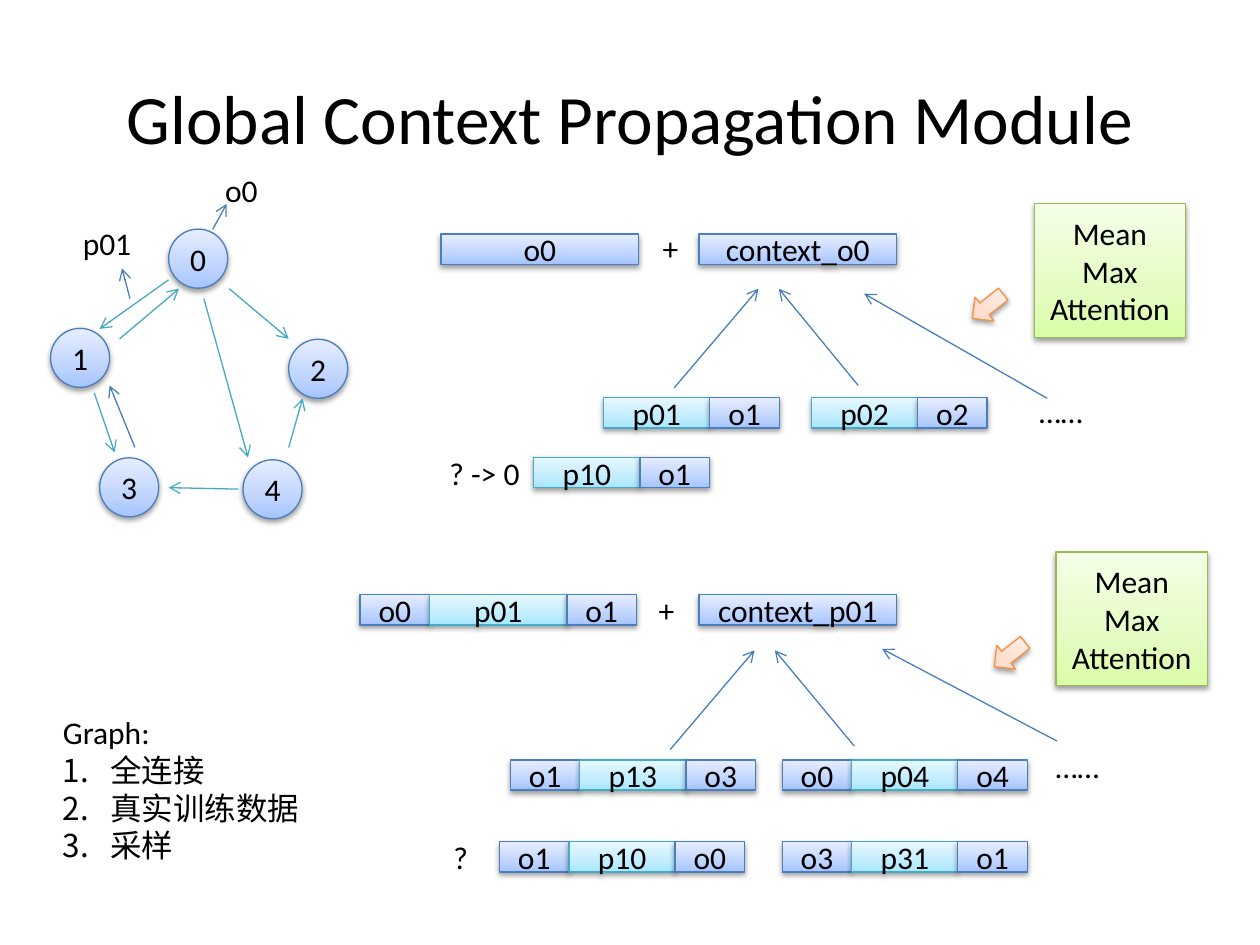
from dataclasses import dataclass

from lxml.etree import SubElement
from pptx import Presentation
from pptx.dml.color import RGBColor as Color
from pptx.enum.shapes import MSO_CONNECTOR as Connector, MSO_SHAPE as Shape
from pptx.enum.text import MSO_ANCHOR as Anchor, MSO_AUTO_SIZE as AutoSize, PP_ALIGN as Align
from pptx.oxml import parse_xml
from pptx.oxml.ns import nsdecls, qn
from pptx.util import Cm, Pt


@dataclass(frozen=True)
class Theme:
    # Each palette: outline, then gradient colours at 0, 35 and 100 percent
    blue: tuple = ("4B7EBC", "A4C4FF", "BFD4FF", "E6EEFF")
    cyan: tuple = ("46AAC5", "A7E6FF", "C1EDFF", "E7F8FF")
    green: tuple = ("98B955", "DAFDA7", "E4FCC2", "F5FFE7")
    orange: tuple = ("F69240", "FFD2BD", "FFDED0", "FFF2ED")
    ink: str = "000000"
    font: str = "Calibri"
    title_size: float = 39.6
    body_size: float = 18
    line_width: float = 0.75


theme = Theme()
SHADOW = (
    f'<a:effectLst {nsdecls("a")}><a:outerShdw blurRad="40000" dist="20000" dir="5400000" '
    'rotWithShape="0"><a:srgbClr val="000000"><a:alpha val="38000"/></a:srgbClr>'
    "</a:outerShdw></a:effectLst>"
)


def write_text(box, lines, align=Align.LEFT, size=theme.body_size, **frame_format):
    frame = box.text_frame
    for name, value in {"word_wrap": True, **frame_format}.items():
        setattr(frame, name, value)
    for index, line in enumerate(lines):
        para = frame.add_paragraph() if index else frame.paragraphs[0]
        para.alignment = align
        span = para.add_run()
        span.text = line
        for name, value in {"name": theme.font, "size": Pt(size)}.items():
            setattr(span.font, name, value)
        span.font.color.rgb = Color.from_string(theme.ink)


def add_block(kind, palette, left, top, width, height, lines=()):
    """Add a shaded preset shape with centred text."""
    block = page.shapes.add_shape(kind, Cm(left), Cm(top), Cm(width), Cm(height))
    outline, *shades = palette
    block.fill.gradient()
    block.fill.gradient_angle = 90
    stops = block.fill._xPr.find(f".//{qn('a:gsLst')}")
    for stop in list(stops):
        stops.remove(stop)
    for position, shade in zip((0, 35, 100), shades):
        stop = SubElement(stops, qn("a:gs"), pos=str(position * 1000))
        SubElement(stop, qn("a:srgbClr"), val=shade)
    block.line.color.rgb = Color.from_string(outline)
    block.line.width = Pt(theme.line_width)
    block._element.spPr.append(parse_xml(SHADOW))
    write_text(block, lines, Align.CENTER, vertical_anchor=Anchor.MIDDLE)
    return block


deck = Presentation()
deck.slide_width, deck.slide_height = Cm(25.4), Cm(19.05)
page = deck.slides.add_slide(deck.slide_layouts[6])

title = page.shapes.add_textbox(Cm(1.27), Cm(0.76), Cm(22.86), Cm(3.18))
write_text(title, ["Global Context Propagation Module"], Align.CENTER, theme.title_size,
           vertical_anchor=Anchor.MIDDLE)

# Graph nodes
nodes = [(3.4, 4.62), (1.02, 6.62), (5.82, 6.84), (2.01, 9.23), (4.9, 9.27)]
for number, (left, top) in enumerate(nodes):
    add_block(Shape.OVAL, theme.blue, left, top, 1.19, 1.19, [str(number)])

# Feature vectors: objects are blue, relations are cyan and wider
BAR_HEIGHT, OBJECT_WIDTH, RELATION_WIDTH, WIDE_RELATION = 0.61, 1.4, 2.14, 2.77
vectors = [
    (12.17, 8.02, "p01 o1", RELATION_WIDTH),
    (16.36, 8.02, "p02 o2", RELATION_WIDTH),
    (10.76, 9.22, "p10 o1", RELATION_WIDTH),
    (7.26, 11.99, "o0 p01 o1", WIDE_RELATION),
    (10.29, 15.32, "o1 p13 o3", RELATION_WIDTH),
    (15.77, 15.32, "o0 p04 o4", RELATION_WIDTH),
    (10.07, 16.97, "o1 p10 o0", RELATION_WIDTH),
    (15.77, 16.97, "o3 p31 o1", RELATION_WIDTH),
]
for left, top, labels, relation_width in vectors:
    for label in labels.split():
        is_relation = label.startswith("p")
        palette = theme.cyan if is_relation else theme.blue
        width = relation_width if is_relation else OBJECT_WIDTH
        add_block(Shape.RECTANGLE, palette, left, top, width, BAR_HEIGHT, [label])
        left += width

long_bars = [(8.89, 4.72, "o0"), (14.09, 4.72, "context_o0"), (14.09, 11.99, "context_p01")]
for left, top, label in long_bars:
    add_block(Shape.RECTANGLE, theme.blue, left, top, 3.99, BAR_HEIGHT, [label])

# Pooling choices, each with an arrow to its context
for left, top in [(20.85, 4.11), (21.29, 11.13)]:
    add_block(Shape.RECTANGLE, theme.green, left, top, 3.05, 2.69, ["Mean", "Max", "Attention"])
    pointer = add_block(Shape.DOWN_ARROW, theme.orange, left - 1.24, top + 1.67, 0.61, 0.79)
    pointer.rotation = 51.7

# Thin arrows: start x, start y, end x, end y
graph_edges = [
    (3.4, 5.64, 2.01, 6.63), (4.62, 5.82, 5.82, 6.83), (1.9, 7.92, 2.31, 9.12),
    (2.41, 6.83, 3.61, 5.82), (4.8, 9.86, 3.4, 9.83), (5.82, 9.02, 6.1, 8.03),
    (4.11, 6.02, 5.0, 9.22),
]
blue_arrows = [
    (4.29, 4.62, 4.57, 4.11), (2.62, 6.02, 2.46, 5.41), (2.72, 9.02, 2.21, 7.77),
    (13.59, 7.82, 15.29, 5.82), (17.3, 7.77, 15.7, 5.82), (21.11, 8.03, 17.42, 5.92),
    (13.51, 15.11, 15.21, 13.11), (17.22, 15.04, 15.62, 13.11), (21.31, 14.94, 17.78, 13.08),
]
for palette, arrows in [(theme.cyan, graph_edges), (theme.blue, blue_arrows)]:
    for ends in arrows:
        arrow = page.shapes.add_connector(Connector.STRAIGHT, *map(Cm, ends))
        arrow.line.color.rgb = Color.from_string(palette[0])
        arrow.line.width = Pt(theme.line_width)
        SubElement(arrow.line._get_or_add_ln(), qn("a:tailEnd"), type="arrow")
        SubElement(arrow._element.spPr, qn("a:effectLst"))

labels = [
    (4.29, 3.33, 1.65, "o0"), (1.42, 4.39, 2.01, "p01"),
    (13.11, 4.5, 0.99, "+"), (13.03, 11.79, 0.99, "+"),
    (20.7, 7.77, 2.79, "……"), (21.03, 14.94, 2.79, "……"),
    (8.81, 9.02, 2.08, "? -> 0"), (8.89, 16.76, 1.32, "?"),
]
for left, top, width, label in labels:
    box = page.shapes.add_textbox(Cm(left), Cm(top), Cm(width), Cm(1.02))
    write_text(box, [label], auto_size=AutoSize.SHAPE_TO_FIT_TEXT)

graph_list = page.shapes.add_textbox(Cm(1.02), Cm(14.25), Cm(5.97), Cm(3.33))
write_text(graph_list, ["Graph:", "全连接", "真实训练数据", "采样"],
           auto_size=AutoSize.SHAPE_TO_FIT_TEXT)
for para in graph_list.text_frame.paragraphs[1:]:
    properties = para._p.get_or_add_pPr()
    for name, value in {"marL": Cm(0.95), "indent": -Cm(0.95)}.items():
        properties.set(name, str(int(value)))
    SubElement(properties, qn("a:buFont"), typeface=theme.font)
    SubElement(properties, qn("a:buAutoNum"), type="arabicPeriod")

deck.save("out.pptx")
